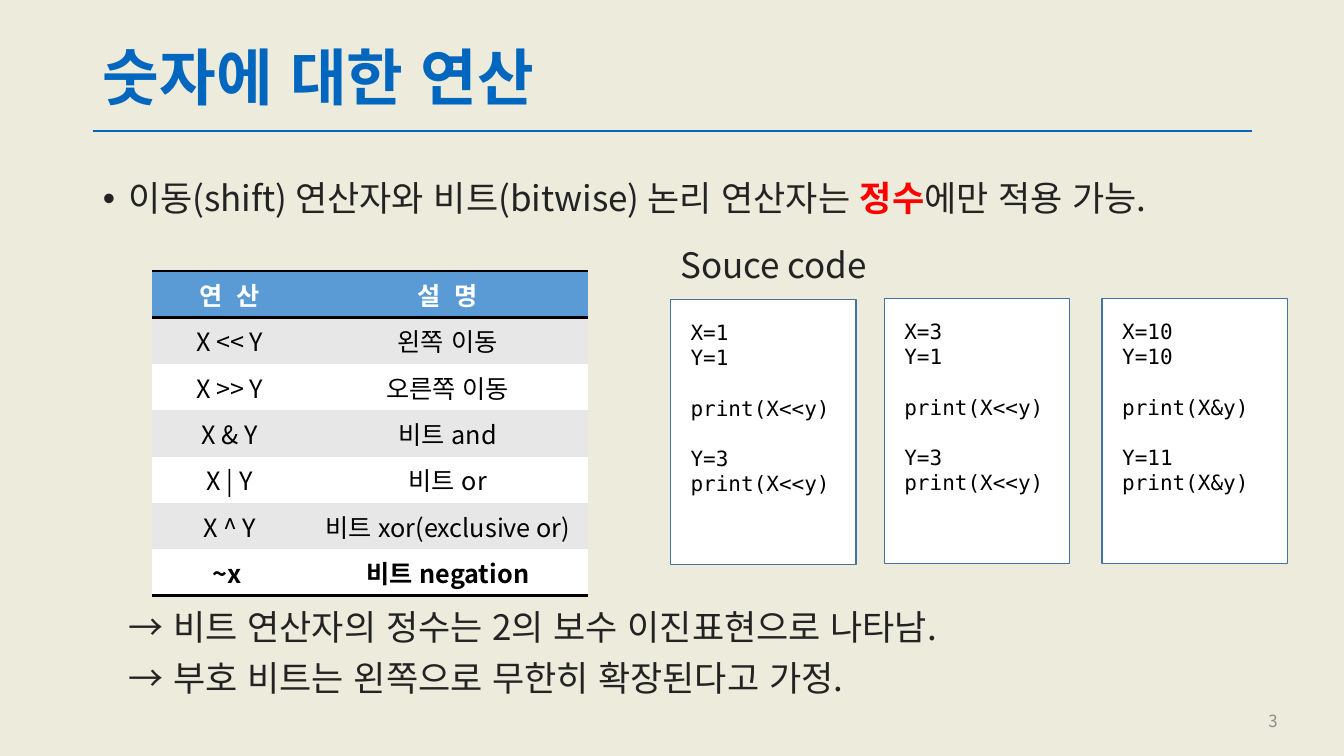
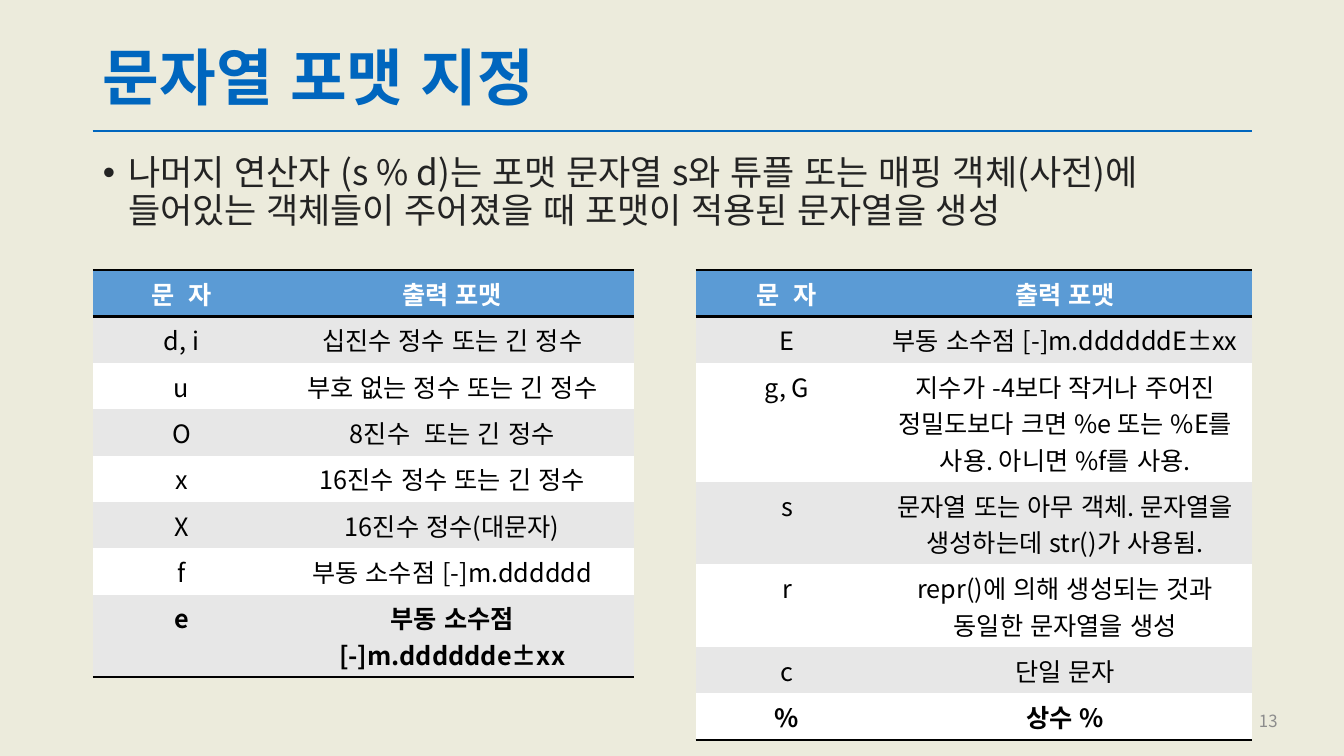
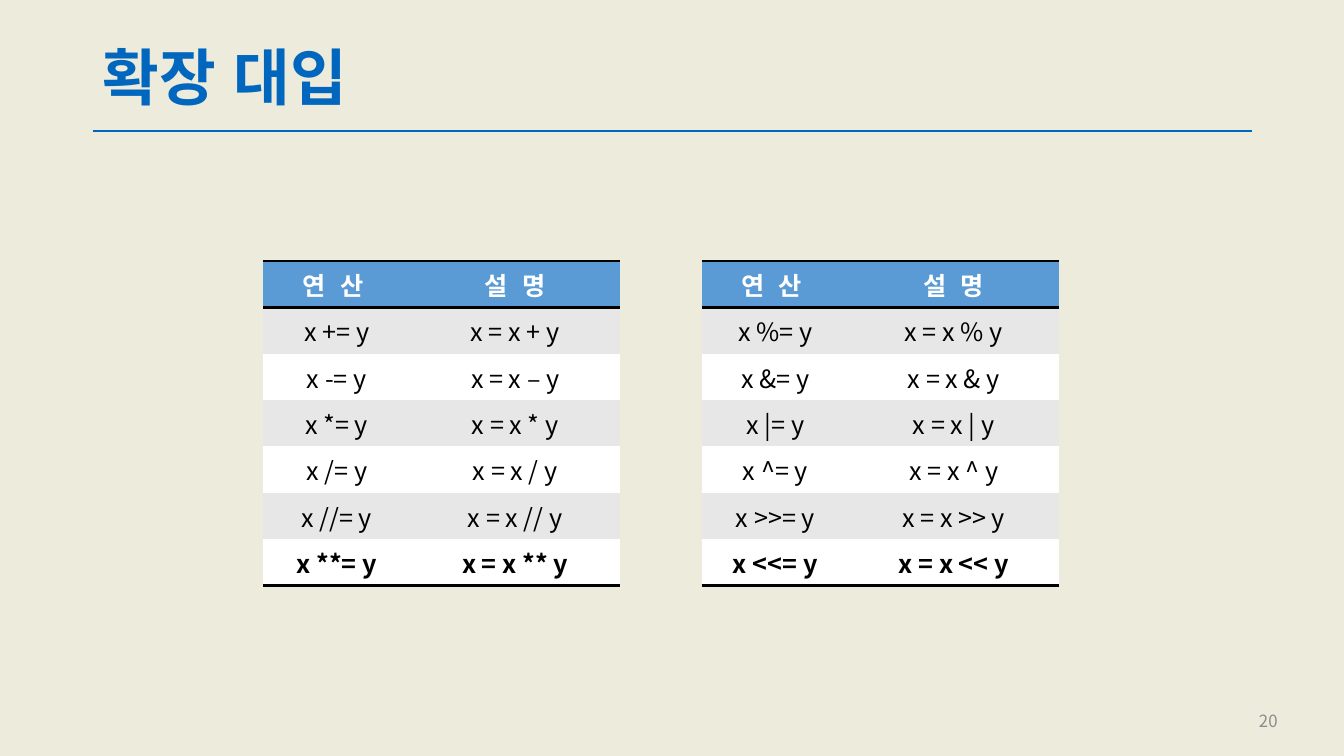
from lxml.etree import SubElement
from pptx import Presentation
from pptx.dml.color import RGBColor
from pptx.enum.lang import MSO_LANGUAGE_ID
from pptx.enum.shapes import MSO_CONNECTOR, MSO_SHAPE
from pptx.enum.text import MSO_ANCHOR, MSO_AUTO_SIZE, PP_ALIGN
from pptx.oxml.ns import qn
from pptx.util import Inches, Pt

COLORS = {
    "background": "ECEBDC",
    "accent": "0066BE",
    "text": "232323",
    "emphasis": "FF0000",
    "number": "8C8C8C",
    "black": "000000",
    "white": "FFFFFF",
    "header": "5B9BD5",
    "band": "E7E7E7",
    "code_border": "43739E",
}
FONT = "Noto Sans CJK KR"
CODE_FONT = "DejaVu Sans Mono"
PLAIN_TABLE_STYLE = "{2D5ABB26-0587-4C30-8999-92F81FD0307C}"
TITLE_AND_CONTENT, TITLE_ONLY = 1, 5
LEFT, WIDTH = 0.92, 11.5
CELL_PADDING, CELL_LINE_HEIGHT = 0.1, 0.36

SHIFT_CODE = "print(X<<y)"
AND_CODE = "print(X&y)"
CODE_BOXES = [
    (6.65, 2.97, ["X=1", "Y=1", SHIFT_CODE, "Y=3", SHIFT_CODE]),
    (8.77, 2.96, ["X=3", "Y=1", SHIFT_CODE, "Y=3", SHIFT_CODE]),
    (10.93, 2.96, ["X=10", "Y=10", AND_CODE, "Y=11", AND_CODE]),
]

FORMAT_HEADER = ("문  자", "출력 포맷")
BITWISE_ROWS = [
    ("연  산", "설  명"),
    ("X << Y", "왼쪽 이동"),
    ("X >> Y", "오른쪽 이동"),
    ("X & Y", "비트 and"),
    ("X | Y", "비트 or"),
    ("X ^ Y", "비트 xor(exclusive or)"),
    ("~x ", "비트 negation"),
]
NUMBER_FORMAT_ROWS = [
    FORMAT_HEADER,
    ("d, i", "십진수 정수 또는 긴 정수"),
    ("u", "부호 없는 정수 또는 긴 정수"),
    ("O", "8진수  또는 긴 정수"),
    ("x", "16진수 정수 또는 긴 정수"),
    ("X", "16진수 정수(대문자)"),
    ("f", "부동 소수점 [-]m.dddddd"),
    ("e", "부동 소수점 [-]m.dddddde±xx"),
]
OTHER_FORMAT_ROWS = [
    FORMAT_HEADER,
    ("E", "부동 소수점 [-]m.ddddddE±xx"),
    ("g, G", "지수가 -4보다 작거나 주어진 정밀도보다 크면 %e 또는 %E를 사용. 아니면 %f를 사용."),
    ("s", "문자열 또는 아무 객체. 문자열을 생성하는데 str()가 사용됨."),
    ("r", "repr()에 의해 생성되는 것과 동일한 문자열을 생성"),
    ("c", "단일 문자"),
    ("%", "상수 %"),
]
NUMBER_FORMAT_LINES = (1, 1, 1, 1, 1, 1, 1, 2)
OTHER_FORMAT_LINES = (1, 1, 3, 2, 2, 1, 1)


def color(name):
    return RGBColor.from_string(COLORS[name])


def place(shape, left, top, width, height):
    shape.left, shape.top = Inches(left), Inches(top)
    shape.width, shape.height = Inches(width), Inches(height)


def format_run(run, size, color_name, bold=False, font=FONT):
    run.font.size = Pt(size)
    run.font.bold = bold
    run.font.name = font
    run.font.language_id = MSO_LANGUAGE_ID.KOREAN
    run.font.color.rgb = color(color_name)
    SubElement(run._r.get_or_add_rPr(), qn("a:ea"), typeface=font)


def format_paragraph(paragraph, size, color_name, bold=False, font=FONT,
                     alignment=PP_ALIGN.LEFT):
    paragraph.alignment = alignment
    for run in paragraph.runs:
        format_run(run, size, color_name, bold, font)


def set_up_master(presentation):
    fill = presentation.slide_master.background.fill
    fill.solid()
    fill.fore_color.rgb = color("background")


def add_master_rule(presentation, slide):
    rule = slide.shapes.add_connector(
        MSO_CONNECTOR.STRAIGHT, Inches(LEFT), Inches(1.3), Inches(LEFT + WIDTH), Inches(1.3))
    rule.line.color.rgb = color("accent")
    rule.line.width = Pt(1.5)
    SubElement(rule.element.spPr, qn("a:effectLst"))
    presentation.slide_master.shapes.element.append(rule.element)


def add_slide(presentation, layout, title_text, number):
    slide = presentation.slides.add_slide(presentation.slide_layouts[layout])
    title = slide.shapes.title
    place(title, LEFT, 0.4, WIDTH, 0.8)
    frame = title.text_frame
    frame.text = title_text
    frame.auto_size = MSO_AUTO_SIZE.NONE
    frame.vertical_anchor = MSO_ANCHOR.MIDDLE
    frame.paragraphs[0].line_spacing = 0.9
    format_paragraph(frame.paragraphs[0], 44, "accent", bold=True)

    number_box = slide.shapes.add_textbox(Inches(9.77), Inches(6.95), Inches(3), Inches(0.4))
    number_frame = number_box.text_frame
    number_frame.word_wrap = True
    number_frame.text = str(number)
    number_frame.vertical_anchor = MSO_ANCHOR.MIDDLE
    format_paragraph(number_frame.paragraphs[0], 12, "number", alignment=PP_ALIGN.RIGHT)
    return slide


def format_body_paragraph(paragraph):
    paragraph.line_spacing = 0.9
    paragraph.space_before = Pt(10)
    format_paragraph(paragraph, 25, "text")


def add_bullet(slide, top, height, text, emphasized=None):
    body = slide.placeholders[1]
    place(body, LEFT, top, WIDTH, height)
    frame = body.text_frame
    frame.auto_size = MSO_AUTO_SIZE.NONE
    paragraph = frame.paragraphs[0]
    properties = paragraph._p.get_or_add_pPr()
    properties.set("marL", str(Inches(0.25)))
    properties.set("indent", str(Inches(-0.25)))
    if emphasized:
        before, after = text.split(emphasized)
        for part in (before, emphasized, after):
            paragraph.add_run().text = part
    else:
        paragraph.text = text
    format_body_paragraph(paragraph)
    for run in paragraph.runs:
        if run.text == emphasized:
            run.font.color.rgb = color("emphasis")
            run.font.bold = True


def add_text(slide, left, top, width, height, lines):
    box = slide.shapes.add_textbox(Inches(left), Inches(top), Inches(width), Inches(height))
    box.text_frame.word_wrap = True
    box.text_frame.text = "\n".join(lines)
    for paragraph in box.text_frame.paragraphs:
        format_body_paragraph(paragraph)


def add_code_box(slide, left, top, lines):
    box = slide.shapes.add_shape(
        MSO_SHAPE.RECTANGLE, Inches(left), Inches(top), Inches(1.84), Inches(2.63))
    box.shadow.inherit = False
    box.fill.solid()
    box.fill.fore_color.rgb = color("white")
    box.line.color.rgb = color("code_border")
    box.line.width = Pt(1)
    frame = box.text_frame
    frame.margin_left = frame.margin_right = Inches(0.2)
    frame.margin_top = frame.margin_bottom = Inches(0.2)
    frame.vertical_anchor = MSO_ANCHOR.TOP
    frame.text = "\n".join(lines)
    for index, paragraph in enumerate(frame.paragraphs):
        format_paragraph(paragraph, 15, "black", font=CODE_FONT)
        if index in (2, 3):
            paragraph.space_before = Pt(18)


def add_border(cell, side):
    line = SubElement(cell._tc.get_or_add_tcPr(), qn(f"a:{side}"), w=str(Pt(2)))
    fill = SubElement(line, qn("a:solidFill"))
    SubElement(fill, qn("a:srgbClr"), val=COLORS["black"])


def format_cell(cell, row_index, last_row):
    is_header = row_index == 0
    if is_header:
        add_border(cell, "lnT")
    if is_header or row_index == last_row:
        add_border(cell, "lnB")
    fill_name = "header" if is_header else "band" if row_index % 2 else "white"
    cell.fill.solid()
    cell.fill.fore_color.rgb = color(fill_name)
    format_paragraph(
        cell.text_frame.paragraphs[0], 18, "white" if is_header else "black",
        bold=row_index in (0, last_row), alignment=PP_ALIGN.CENTER)


def add_table(slide, left, top, column_widths, rows, line_counts=None):
    line_counts = line_counts or [1] * len(rows)
    row_heights = [CELL_PADDING + CELL_LINE_HEIGHT * count for count in line_counts]
    graphic_frame = slide.shapes.add_table(
        len(rows), len(column_widths), Inches(left), Inches(top),
        Inches(sum(column_widths)), Inches(sum(row_heights)))
    graphic_frame.element.find(".//" + qn("a:tableStyleId")).text = PLAIN_TABLE_STYLE
    table = graphic_frame.table
    table.horz_banding = False
    for column, width in zip(table.columns, column_widths):
        column.width = Inches(width)
    for row_index, values in enumerate(rows):
        table.rows[row_index].height = Inches(row_heights[row_index])
        for column_index, value in enumerate(values):
            cell = table.cell(row_index, column_index)
            cell.text_frame.text = value
            format_cell(cell, row_index, len(rows) - 1)


def assignment_rows(operators):
    rows = [(f"x {operator}= y", f"x = x {'–' if operator == '-' else operator} y")
            for operator in operators]
    return [("연  산 ", "설  명")] + rows


def build_number_operations(presentation):
    slide = add_slide(presentation, TITLE_AND_CONTENT, "숫자에 대한 연산", 3)
    add_master_rule(presentation, slide)
    add_bullet(slide, 1.75, 0.99,
               "이동(shift) 연산자와 비트(bitwise) 논리 연산자는 정수에만 적용 가능.", "정수")
    add_table(slide, 1.51, 2.69, (1.54, 2.78), BITWISE_ROWS)
    add_text(slide, 6.65, 2.41, 2.54, 0.55, ["Souce code"])
    for left, top, lines in CODE_BOXES:
        add_code_box(slide, left, top, lines)
    add_text(slide, 1.18, 6, 11.24, 1.19, [
        "→ 비트 연산자의 정수는 2의 보수 이진표현으로 나타남.",
        "→ 부호 비트는 왼쪽으로 무한히 확장된다고 가정.",
    ])


def build_string_formats(presentation):
    slide = add_slide(presentation, TITLE_AND_CONTENT, "문자열 포맷 지정", 13)
    add_bullet(slide, 1.49, 0.87,
               "나머지 연산자 (s % d)는 포맷 문자열 s와 튜플 또는 매핑 객체(사전)에 "
               "들어있는 객체들이 주어졌을 때 포맷이 적용된 문자열을 생성")
    add_table(slide, LEFT, 2.68, (1.76, 3.61), NUMBER_FORMAT_ROWS, NUMBER_FORMAT_LINES)
    add_table(slide, 6.9, 2.68, (1.81, 3.71), OTHER_FORMAT_ROWS, OTHER_FORMAT_LINES)


def build_assignments(presentation):
    slide = add_slide(presentation, TITLE_ONLY, "확장 대입", 20)
    arithmetic = ("+", "-", "*", "/", "//", "**")
    bitwise = ("%", "&", "|", "^", ">>", "<<")
    for left, operators in ((2.61, arithmetic), (6.96, bitwise)):
        add_table(slide, left, 2.59, (1.46, 2.08), assignment_rows(operators))


def main():
    presentation = Presentation()
    presentation.slide_width = Inches(13.33)
    presentation.slide_height = Inches(7.5)
    set_up_master(presentation)
    build_number_operations(presentation)
    build_string_formats(presentation)
    build_assignments(presentation)
    presentation.save("out.pptx")


main()
